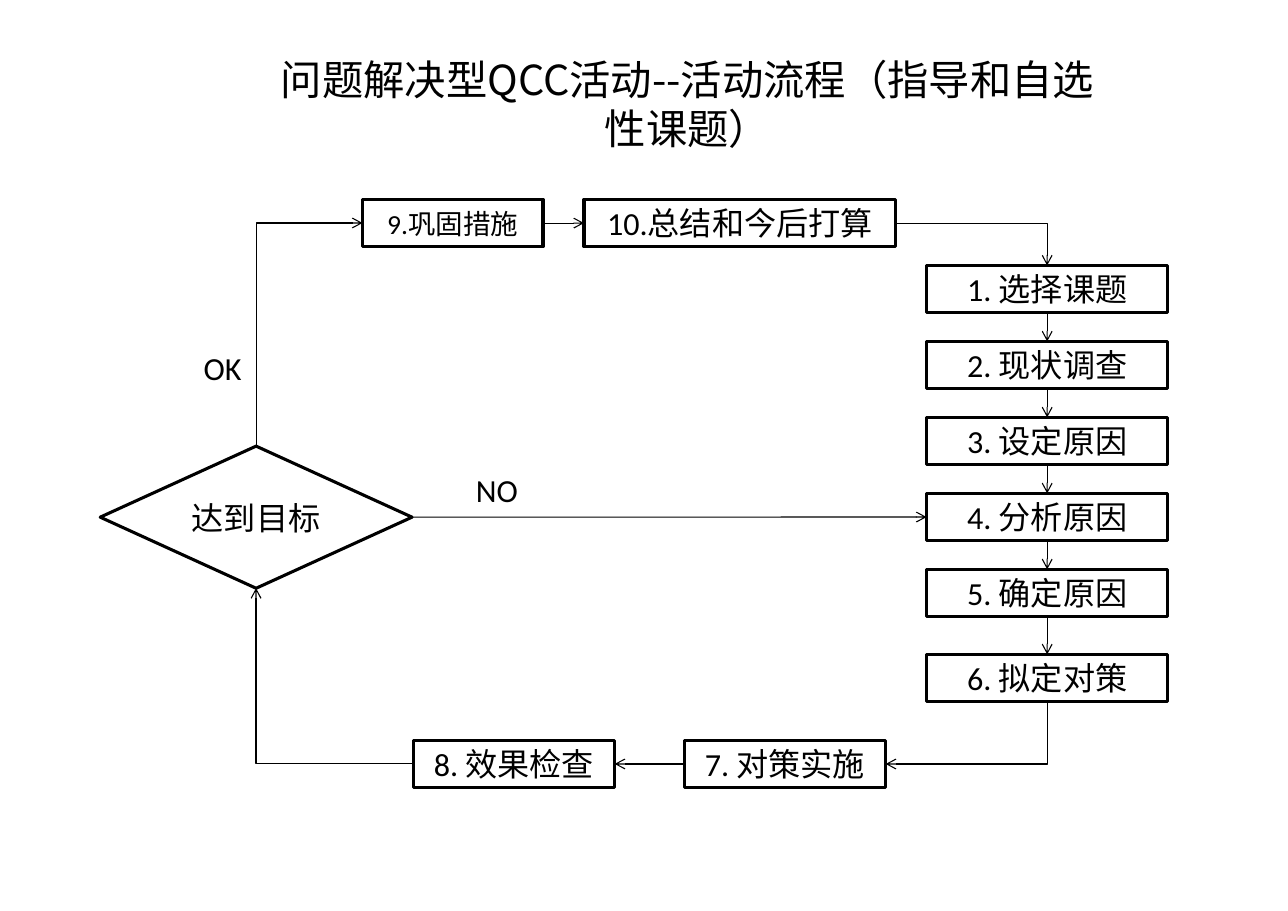
from dataclasses import dataclass

import pptx
import pptx.dml.color
import pptx.enum.shapes
import pptx.enum.text
import pptx.oxml
import pptx.oxml.ns
import pptx.util

BLACK = pptx.dml.color.RGBColor(0, 0, 0)
WHITE = pptx.dml.color.RGBColor(255, 255, 255)
LATIN_FONT = "Calibri"
CHINESE_FONT = "Noto Sans CJK SC"

# The page is a grid of 100 columns by 100 rows
PAGE_WIDTH, PAGE_HEIGHT = pptx.util.Inches(11.69), pptx.util.Inches(8.27)
COLUMN, ROW = PAGE_WIDTH / 100, PAGE_HEIGHT / 100
BOX_HEIGHT = 5.2
STEP_LEFT, STEP_WIDTH = 71.94, 18.73
STEP_TOP, STEP_PITCH = 29.14, 8.34
TOP_ROW, BOTTOM_ROW = 21.89, 81.26

RECTANGLE = pptx.enum.shapes.MSO_SHAPE.RECTANGLE
DIAMOND = pptx.enum.shapes.MSO_SHAPE.DIAMOND
STRAIGHT = pptx.enum.shapes.MSO_CONNECTOR.STRAIGHT
CENTER = pptx.enum.text.PP_ALIGN.CENTER
LEFT_ALIGN = pptx.enum.text.PP_ALIGN.LEFT
TOP, LEFT, BOTTOM, RIGHT = range(4)  # connection sites


@dataclass
class Area:
    left: float
    top: float
    width: float
    height: float = BOX_HEIGHT

    def lengths(self) -> tuple[int, int, int, int]:
        return (int(self.left * COLUMN), int(self.top * ROW),
                int(self.width * COLUMN), int(self.height * ROW))


@dataclass
class Node:
    key: str
    text: str
    area: Area
    size: float = 21
    kind: int = RECTANGLE


@dataclass
class Arrow:
    start: str
    start_site: int
    end: str
    end_site: int


STEPS = ["选择课题", "现状调查", "设定原因", "分析原因", "确定原因"]
NODES = [
    Node("goal", "达到目标", Area(7.78, 48.97, 24.21, 15.6), kind=DIAMOND),
    *(Node(str(number), f"{number}. {name}",
           Area(STEP_LEFT, STEP_TOP + (number - 1) * STEP_PITCH, STEP_WIDTH))
      for number, name in enumerate(STEPS, 1)),
    Node("6", "6. 拟定对策", Area(STEP_LEFT, 71.83, STEP_WIDTH)),
    Node("7", "7. 对策实施", Area(53.12, BOTTOM_ROW, 15.65)),
    Node("8", "8. 效果检查", Area(32.08, BOTTOM_ROW, 15.65)),
    Node("9", "9.巩固措施", Area(28.14, TOP_ROW, 14.03), size=18),
    Node("10", "10.总结和今后打算", Area(45.34, TOP_ROW, 24.21)),
]
ARROWS = [
    *(Arrow(str(number), BOTTOM, str(number + 1), TOP) for number in range(1, 6)),
    Arrow("6", BOTTOM, "7", RIGHT),
    Arrow("7", LEFT, "8", RIGHT),
    Arrow("8", LEFT, "goal", BOTTOM),
    Arrow("goal", RIGHT, "4", LEFT),
    Arrow("goal", TOP, "9", LEFT),
    Arrow("9", RIGHT, "10", LEFT),
    Arrow("10", RIGHT, "1", TOP),
]


def write(box, text: str, *, size: float = 21, font: str = LATIN_FONT,
          align=CENTER, wrap: bool = True) -> None:
    frame = box.text_frame
    frame.word_wrap = wrap
    frame.margin_left = frame.margin_right = pptx.util.Inches(0.11)
    frame.margin_top = frame.margin_bottom = pptx.util.Inches(0.06)
    para = frame.paragraphs[0]
    para.alignment = align
    span = para.add_run()
    span.text = text
    span.font.size = pptx.util.Pt(size)
    span.font.name = font
    span.font.color.rgb = BLACK
    add_element(span._r.get_or_add_rPr(), "a:ea", typeface=CHINESE_FONT)


def add_element(parent, tag: str, **attributes: str) -> None:
    child = parent.makeelement(pptx.oxml.ns.qn(tag), attributes)
    parent.append(child)


def add_label(page, text: str, area: Area, **text_format) -> None:
    box = page.shapes.add_textbox(*area.lengths())
    write(box, text, **text_format)
    box.text_frame.auto_size = pptx.enum.text.MSO_AUTO_SIZE.SHAPE_TO_FIT_TEXT


def add_node(page, node: Node):
    box = page.shapes.add_shape(node.kind, *node.area.lengths())
    box.shadow.inherit = False
    box.fill.solid()
    box.fill.fore_color.rgb = WHITE
    box.line.color.rgb = BLACK
    box.line.width = pptx.util.Pt(2)
    write(box, node.text, size=node.size)
    box.text_frame.vertical_anchor = pptx.enum.text.MSO_ANCHOR.MIDDLE
    return box


def turn_quarter(link) -> None:
    """Make an elbow leave its start vertically."""
    across, down = link.end_x - link.begin_x, link.end_y - link.begin_y
    middle_x = (link.begin_x + link.end_x) // 2
    middle_y = (link.begin_y + link.end_y) // 2
    link.begin_x, link.end_x = middle_x - down // 2, middle_x + down // 2
    link.begin_y, link.end_y = middle_y + across // 2, middle_y - across // 2
    link.rotation = 90


def add_arrow(page, arrow: Arrow, boxes: dict) -> None:
    link = page.shapes.add_connector(STRAIGHT, 0, 0, 0, 0)
    link.begin_connect(boxes[arrow.start], arrow.start_site)
    link.end_connect(boxes[arrow.end], arrow.end_site)
    leaves_vertically = arrow.start_site in (TOP, BOTTOM)
    arrives_vertically = arrow.end_site in (TOP, BOTTOM)
    properties = link._element.spPr
    if leaves_vertically != arrives_vertically:
        properties.find(pptx.oxml.ns.qn("a:prstGeom")).set("prst", "bentConnector2")
        if leaves_vertically:
            turn_quarter(link)
    link.line.color.rgb = BLACK
    link.line.width = pptx.util.Pt(0.75)
    add_element(link.line._get_or_add_ln(), "a:tailEnd", type="arrow")
    add_element(properties, "a:effectLst")


def main() -> None:
    deck = pptx.Presentation()
    deck.slide_width, deck.slide_height = PAGE_WIDTH, PAGE_HEIGHT
    page = deck.slides.add_slide(deck.slide_layouts[6])

    # Title
    add_label(page, "问题解决型QCC活动--活动流程（指导和自选性课题）",
              Area(20.36, 5.2, 66.04, 12.33), size=27, font=CHINESE_FONT)

    # Flow chart
    boxes = {node.key: add_node(page, node) for node in NODES}
    for arrow in ARROWS:
        add_arrow(page, arrow, boxes)

    # Branch labels
    add_label(page, "NO", Area(36.01, 50.91, 5.22, 5.56), align=LEFT_ALIGN, wrap=False)
    add_label(page, "OK", Area(14.88, 37.48, 4.88, 5.56), align=LEFT_ALIGN, wrap=False)

    deck.save("out.pptx")


if __name__ == "__main__":
    main()
